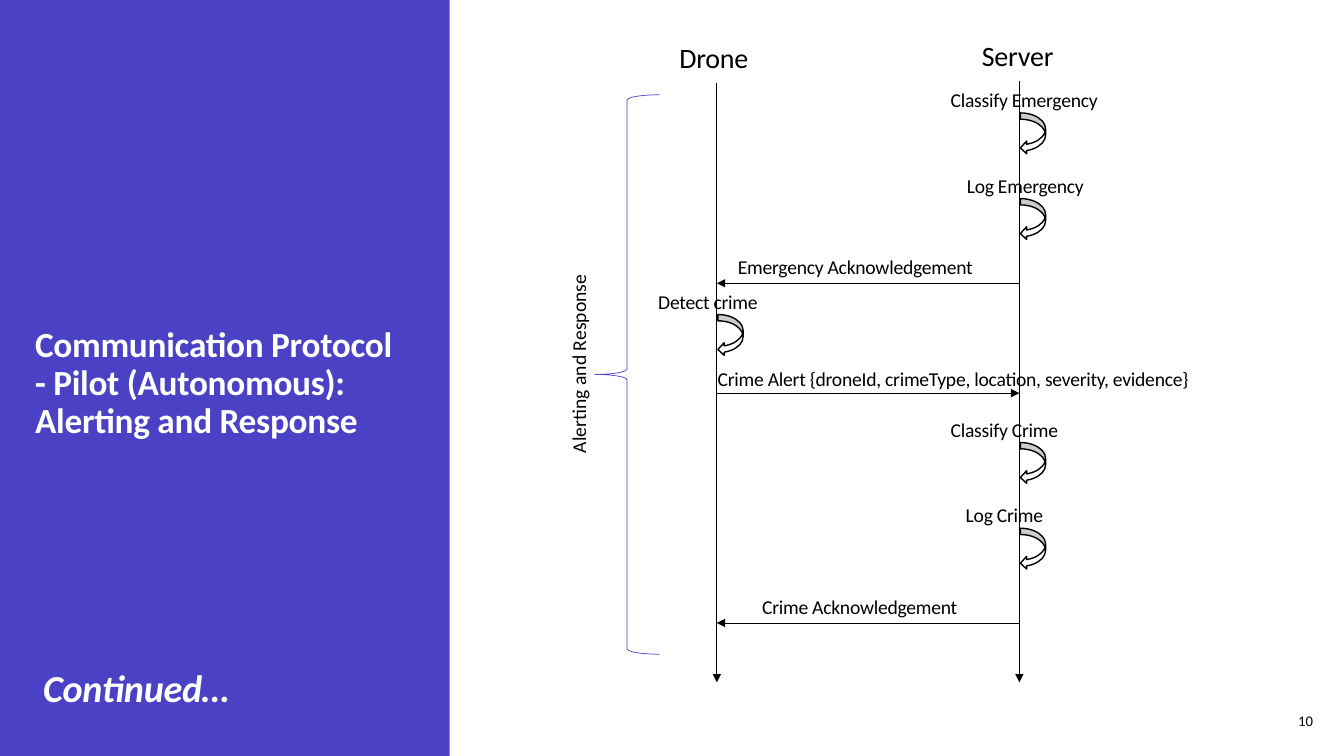
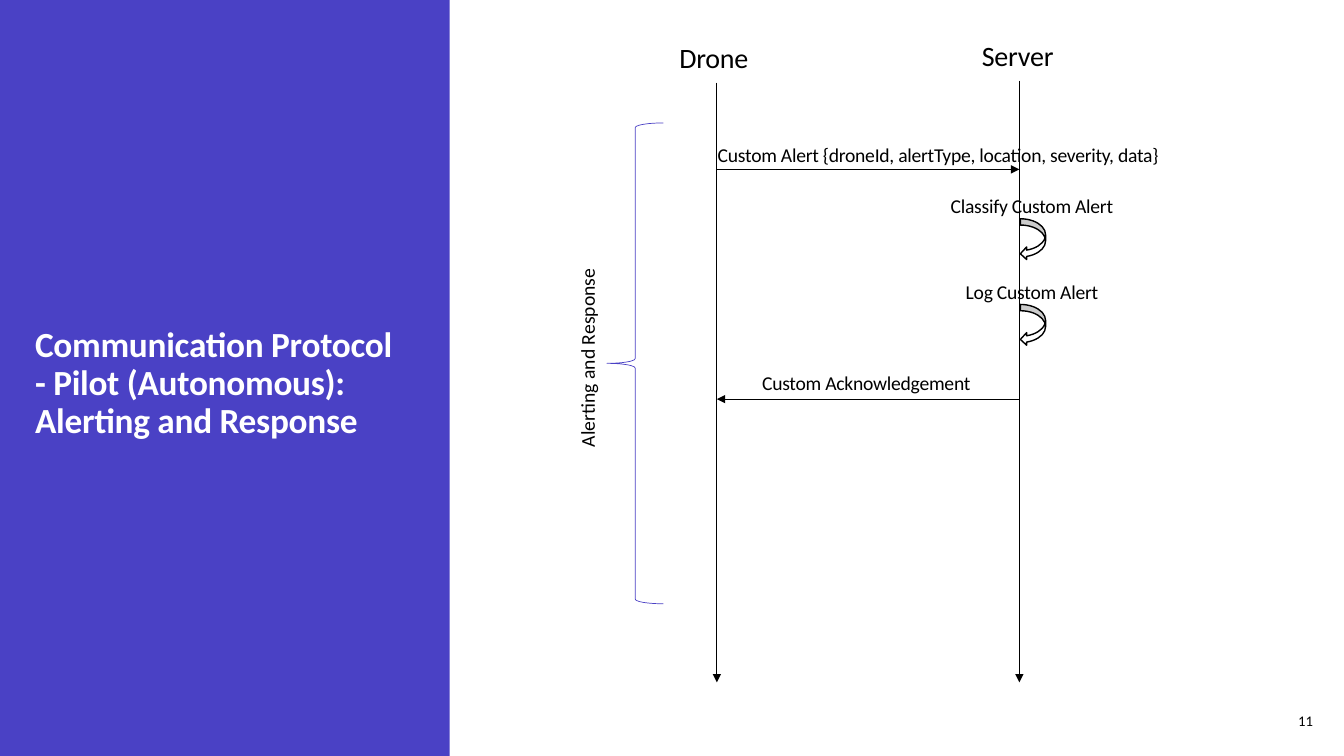
from pptx import Presentation
from pptx.dml.color import RGBColor
from pptx.enum.shapes import MSO_CONNECTOR, MSO_SHAPE
from pptx.enum.text import MSO_ANCHOR, PP_ALIGN
from pptx.oxml.ns import qn
from pptx.util import Inches, Pt
from lxml.etree import SubElement

VIOLET, BLACK, WHITE = "4A41C5", "000000", "FFFFFF"
FONT = "Calibri"
TITLE = "Communication Protocol\v- Pilot (Autonomous): Alerting and Response"
PHASE = "Alerting and Response"
LANES = {"Drone": (7.11, 0.82), "Server": (10.11, 0.8)}
FOOT = 6.77

SLIDES = [
    {
        "page": "10",
        "brace": (5.9, 0.94, 0.64, 5.55),
        "phase": (4.29, 3.44, 2.9, 0.34),
        "more": "Continued…",
        "steps": [
            ("Server", "Server", "Classify Emergency", 1.12, 9.33),
            ("Server", "Server", "Log Emergency", 1.97, 9.49),
            ("Server", "Drone", "Emergency Acknowledgement", 2.81, 7.22),
            ("Drone", "Drone", "Detect crime", 3.12, 6.43),
            ("Drone", "Server",
             "Crime Alert {droneId, crimeType, location, severity, evidence}",
             3.9, 7.02),
            ("Server", "Server", "Classify Crime", 4.39, 9.33),
            ("Server", "Server", "Log Crime", 5.24, 9.48),
            ("Server", "Drone", "Crime Acknowledgement", 6.18, 7.46),
        ],
    },
    {
        "page": "11",
        "brace": (6.02, 1.22, 0.56, 4.77),
        "phase": (4.58, 3.38, 2.49, 0.34),
        "more": "",
        "steps": [
            ("Drone", "Server",
             "Custom Alert {droneId, alertType, location, severity, data}",
             1.68, 7.02),
            ("Server", "Server", "Classify Custom Alert", 2.17, 9.33),
            ("Server", "Server", "Log Custom Alert", 3.02, 9.48),
            ("Server", "Drone", "Custom Acknowledgement", 3.96, 7.46),
        ],
    },
]


def paint(code):
    return RGBColor.from_string(code)


def add_text(slide, text, box, size=14, color=BLACK, bold=False, italic=False,
             align=PP_ALIGN.LEFT, anchor=MSO_ANCHOR.TOP, lines=1.0, before=0,
             tight=True, turn=0):
    shape = slide.shapes.add_textbox(*map(Inches, box))
    shape.rotation = turn
    frame = shape.text_frame
    frame.word_wrap = True
    frame.vertical_anchor = anchor
    para = frame.paragraphs[0]
    para.text = text
    para.alignment = align
    para.line_spacing = lines
    para.space_before = Pt(before)
    for run in para.runs:
        font = run.font
        font.name, font.size = FONT, Pt(size)
        font.bold, font.italic = bold, italic
        font.color.rgb = paint(color)
        if tight:
            font._element.set("spc", "-20")


def add_label(slide, text, box, size=14):
    add_text(slide, text, box, size=size, lines=1.1, before=10)


def add_form(slide, kind, box, fill=None, line=None, width=1):
    shape = slide.shapes.add_shape(kind, *map(Inches, box))
    shape.shadow.inherit = False
    if fill:
        shape.fill.solid()
        shape.fill.fore_color.rgb = paint(fill)
    else:
        shape.fill.background()
    if line:
        shape.line.color.rgb = paint(line)
        shape.line.width = Pt(width)
    else:
        shape.line.fill.background()


def add_arrow(slide, *ends):
    arrow = slide.shapes.add_connector(MSO_CONNECTOR.STRAIGHT, *map(Inches, ends))
    arrow.line.color.rgb = paint(BLACK)
    arrow.line.width = Pt(0.5)
    SubElement(arrow.line._get_or_add_ln(), qn("a:tailEnd"), type="triangle")
    SubElement(arrow._element.spPr, qn("a:effectLst"))


def add_frame(slide, page):
    add_form(slide, MSO_SHAPE.RECTANGLE, (0, 0, 4.46, 7.5), fill=VIOLET)
    add_text(slide, TITLE, (0.25, 2.23, 3.96, 2.2), size=25.2, color=WHITE,
             bold=True, anchor=MSO_ANCHOR.BOTTOM, lines=0.9)
    add_text(slide, page, (12.43, 6.95, 0.69, 0.4), size=10.5,
             align=PP_ALIGN.RIGHT, anchor=MSO_ANCHOR.MIDDLE, tight=False)


def add_lanes(slide):
    for name, (x, top) in LANES.items():
        add_arrow(slide, x, top, x, FOOT)
        add_label(slide, name, (x - 0.47, top - 0.5, 1.01, 0.45), size=20)


def add_step(slide, start, end, text, y, left):
    x = LANES[start][0]
    if start == end:
        add_form(slide, MSO_SHAPE.CURVED_LEFT_ARROW, (x + 0.01, y, 0.25, 0.41),
                 fill=WHITE, line=BLACK)
        rise, width = 0.32, 2.08
    else:
        add_arrow(slide, x, y, LANES[end][0], y)
        rise, width = (0.33, 5.78) if start == "Drone" else (0.35, 2.89)
    add_label(slide, text, (left, y - rise, width, 0.34))


def main():
    deck = Presentation()
    deck.slide_width, deck.slide_height = Inches(13.33), Inches(7.5)
    for item in SLIDES:
        slide = deck.slides.add_slide(deck.slide_layouts[6])
        add_frame(slide, item["page"])
        add_lanes(slide)
        add_form(slide, MSO_SHAPE.LEFT_BRACE, item["brace"], line=VIOLET, width=0.5)
        add_text(slide, PHASE, item["phase"], align=PP_ALIGN.CENTER,
                 tight=False, turn=270)
        if item["more"]:
            add_text(slide, item["more"], (0.33, 6.49, 2.47, 0.61), size=27.3,
                     color=WHITE, bold=True, italic=True,
                     anchor=MSO_ANCHOR.BOTTOM, lines=0.9)
        for step in item["steps"]:
            add_step(slide, *step)
    deck.save("out.pptx")


if __name__ == "__main__":
    main()
